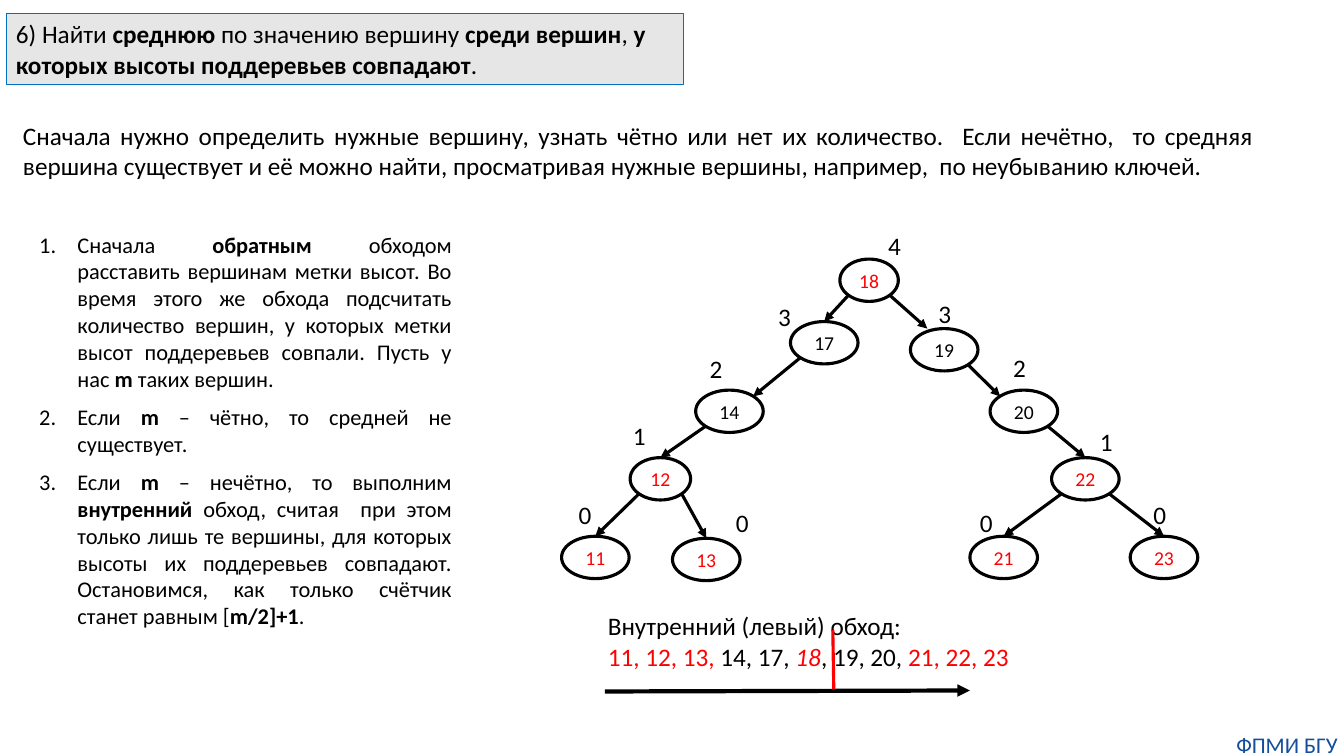
import pptx
import pptx.util
import pptx.dml.color
import pptx.enum.shapes
import pptx.enum.text
import pptx.oxml.ns
from lxml import etree

Inches = pptx.util.Inches
ALIGN = pptx.enum.text.PP_ALIGN
COLORS = {
    "text": "000000",
    "equal": "FF0000",
    "task_fill": "E7E6E6",
    "task_line": "0070C0",
    "footer": "144E9D",
}
TASK = ("6) Найти **среднюю **по значению вершину **среди вершин**, "
        "**у которых высоты поддеревьев совпадают**.")
INTRO = ("Сначала нужно определить нужные вершину, узнать чётно или нет их количество.  "
         "Если нечётно,  то средняя вершина существует и её можно найти, просматривая "
         "нужные вершины, например,  по неубыванию ключей.")
STEPS = [
    "Сначала **обратным** обходом расставить вершинам метки высот. Во время этого же "
    "обхода подсчитать количество вершин, у которых метки высот поддеревьев совпали. "
    "Пусть у нас **m **таких вершин.",
    "Если **m** – чётно, то средней не существует.",
    "Если **m** – нечётно, то выполним **внутренний** обход, считая  при этом только лишь "
    "те вершины, для которых высоты их поддеревьев совпадают. Остановимся, как только "
    "счётчик станет равным [**m/2]+1**.",
]
# key: (left, top, width, label left, label top, height of subtree, subtrees equal)
NODES = {
    18: (8.33, 2.57, 0.58, 8.71, 2.24, 4, True),
    17: (7.84, 3.19, 0.67, 7.62, 2.94, 3, False),
    19: (9.03, 3.26, 0.67, 9.21, 2.91, 3, False),
    14: (6.9, 3.87, 0.67, 6.94, 3.46, 2, False),
    20: (9.82, 3.87, 0.67, 9.95, 3.45, 2, False),
    12: (6.25, 4.54, 0.6, 6.18, 4.12, 1, True),
    22: (10.43, 4.54, 0.67, 10.81, 4.18, 1, True),
    11: (5.57, 5.32, 0.67, 5.64, 4.9, 0, True),
    13: (6.67, 5.34, 0.67, 7.2, 4.98, 0, True),
    21: (9.62, 5.32, 0.67, 9.62, 4.98, 0, True),
    23: (11.21, 5.32, 0.67, 11.34, 4.9, 0, True),
}
NODE_HEIGHT = 0.42
TOP, TOP_LEFT, TOP_RIGHT, ABOVE_LEFT = (0.5, 0), (0.15, 0.15), (0.85, 0.15), (0.25, 0)
LOWER_LEFT, LOWER_RIGHT = (0.15, 0.85), (0.85, 0.85)
EDGES = [
    (18, LOWER_LEFT, 17, TOP), (18, LOWER_RIGHT, 19, ABOVE_LEFT),
    (17, LOWER_LEFT, 14, TOP_RIGHT), (19, LOWER_RIGHT, 20, TOP_LEFT),
    (14, LOWER_LEFT, 12, TOP), (20, LOWER_RIGHT, 22, TOP),
    (12, LOWER_LEFT, 11, TOP), (12, LOWER_RIGHT, 13, TOP),
    (22, LOWER_LEFT, 21, TOP), (22, LOWER_RIGHT, 23, TOP),
]


def color(name):
    return pptx.dml.color.RGBColor.from_string(COLORS[name])


def set_font(para, size, name="text"):
    para.font.name = "Calibri"
    para.font.size = pptx.util.Pt(size)
    para.font.color.rgb = color(name)


def add_spans(para, text):
    """Fill the paragraph, with the parts between ** in bold."""
    for index, part in enumerate(text.split("**")):
        if part:
            span = para.add_run()
            span.text = part
            if index % 2:
                span.font.bold = True


def add_text(page, box, text, size, align=ALIGN.LEFT, name="text", wrap=True):
    shape = page.shapes.add_textbox(*map(Inches, box))
    shape.text_frame.word_wrap = wrap
    para = shape.text_frame.paragraphs[0]
    add_spans(para, text)
    para.alignment = align
    set_font(para, size, name)
    return shape


def add_shape(page, kind, box, line_name, line_width):
    shape = page.shapes.add_shape(kind, *map(Inches, box))
    shape.shadow.inherit = False
    shape.fill.background()
    shape.line.color.rgb = color(line_name)
    shape.line.width = pptx.util.Pt(line_width)
    shape.text_frame.word_wrap = True
    return shape


def add_line(page, start, end, width, name="text", arrow=True):
    line = page.shapes.add_connector(
        pptx.enum.shapes.MSO_CONNECTOR.STRAIGHT, *map(Inches, (*start, *end)))
    line.line.color.rgb = color(name)
    line.line.width = pptx.util.Pt(width)
    if arrow:
        tail = etree.SubElement(line.line._get_or_add_ln(), pptx.oxml.ns.qn("a:tailEnd"))
        tail.set("type", "triangle")
    etree.SubElement(line._element.spPr, pptx.oxml.ns.qn("a:effectLst"))


def add_task(page, box):
    shape = add_shape(page, pptx.enum.shapes.MSO_SHAPE.RECTANGLE, box, "task_line", 0.75)
    shape.fill.solid()
    shape.fill.fore_color.rgb = color("task_fill")
    para = shape.text_frame.paragraphs[0]
    add_spans(para, TASK)
    para.alignment = ALIGN.LEFT
    set_font(para, 18)


def add_steps(page, box):
    frame = page.shapes.add_textbox(*map(Inches, box)).text_frame
    frame.word_wrap = True
    for index, step in enumerate(STEPS):
        para = frame.add_paragraph() if index else frame.paragraphs[0]
        add_spans(para, step)
        props = para._p.get_or_add_pPr()
        props.set("marL", str(Inches(0.38)))
        props.set("indent", str(Inches(-0.38)))
        number = etree.SubElement(props, pptx.oxml.ns.qn("a:buAutoNum"))
        number.set("type", "arabicPeriod")
        para.alignment = ALIGN.JUSTIFY
        if index:
            para.space_before = pptx.util.Pt(8)
        set_font(para, 16)


def node_point(key, site, origin):
    left, top, width = NODES[key][:3]
    return (origin[0] + left + site[0] * width, origin[1] + top + site[1] * NODE_HEIGHT)


def add_tree(page, origin):
    """Draw nodes, height labels and edges, shifted by origin."""
    x, y = origin
    for key, (left, top, width, label_left, label_top, height, equal) in NODES.items():
        node = add_shape(page, pptx.enum.shapes.MSO_SHAPE.OVAL,
                         (x + left, y + top, width, NODE_HEIGHT), "text", 2.25)
        frame = node.text_frame
        frame.word_wrap = False
        frame.vertical_anchor = pptx.enum.text.MSO_ANCHOR.MIDDLE
        para = frame.paragraphs[0]
        para.text = str(key)
        para.alignment = ALIGN.CENTER
        set_font(para, 14, "equal" if equal else "text")
        add_text(page, (x + label_left, y + label_top, 0.33, 0.4), str(height), 18, wrap=False)
    for parent, start, child, end in EDGES:
        add_line(page, node_point(parent, start, origin), node_point(child, end, origin), 2.25)


def add_traversal(page, box):
    """Write the sorted keys, the arrow below them and the mark of the middle."""
    left, top = box[:2]
    frame = add_text(page, box, "Внутренний (левый) обход:", 18).text_frame
    para = frame.add_paragraph()
    for text, name in (("11, 12, 13, ", "equal"), ("14, 17, ", "text"), ("18", "equal"),
                       (", 19, 20,", "text"), (" 21, 22, 23", "equal")):
        span = para.add_run()
        span.text = text
        span.font.color.rgb = color(name)
        if text == "18":
            span.font.italic = True
    set_font(para, 18)
    add_line(page, (left + 0.07, top + 0.85), (left + 3.69, top + 0.84), 3)
    add_line(page, (left + 2.33, top + 0.24), (left + 2.34, top + 0.83), 2.25, "equal", False)


def add_footer(page, box):
    frame = add_text(page, box, "ФПМИ БГУ", 16, ALIGN.CENTER, "footer").text_frame
    frame.margin_left = frame.margin_right = frame.margin_top = frame.margin_bottom = 0


def main():
    deck = pptx.Presentation()
    deck.slide_width, deck.slide_height = Inches(13.33), Inches(7.5)
    page = deck.slides.add_slide(deck.slide_layouts[6])
    add_task(page, (0.06, 0.13, 6.72, 0.71))
    add_text(page, (0.13, 1.14, 12.4, 0.71), INTRO, 18, ALIGN.JUSTIFY)
    add_steps(page, (0.29, 2.24, 4.29, 4.1))
    add_tree(page, (0, 0))
    add_traversal(page, (5.93, 6.01, 4.35, 0.71))
    add_footer(page, (12.2, 7.25, 1.13, 0.27))
    deck.save("out.pptx")


if __name__ == "__main__":
    main()
